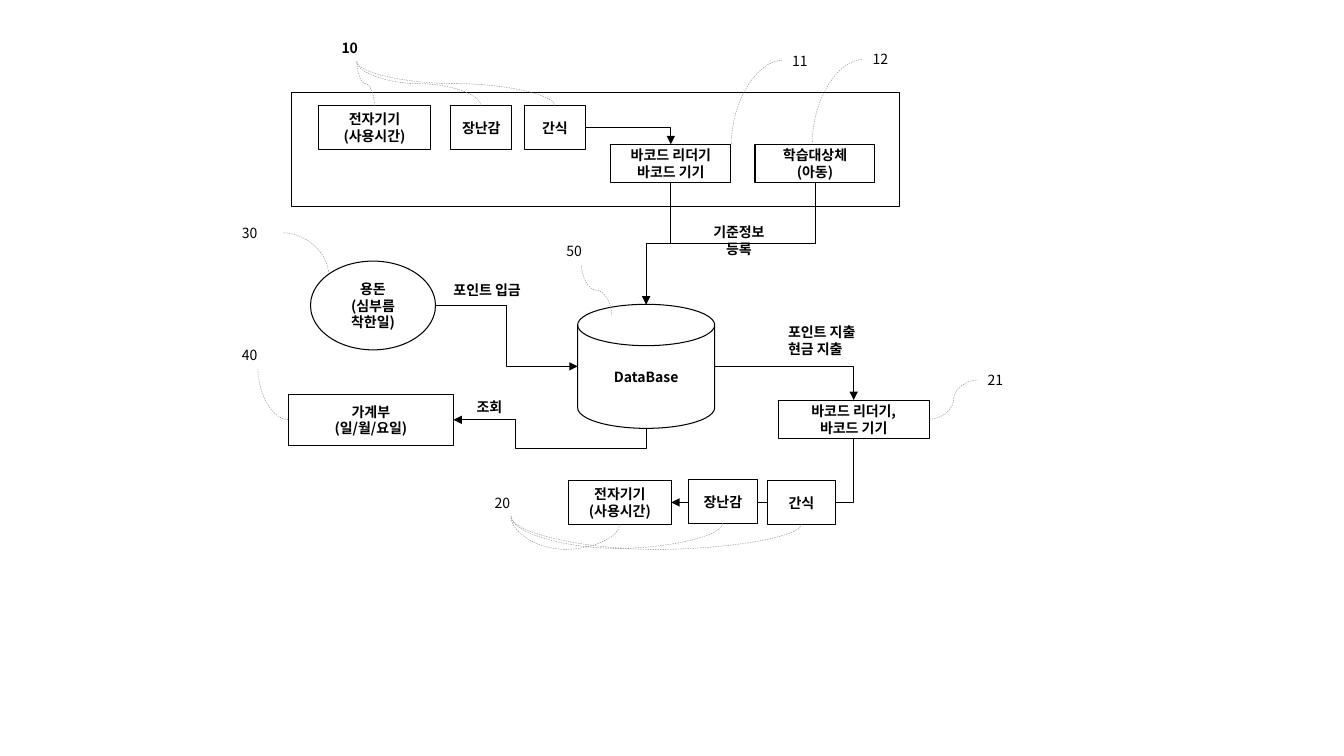
from lxml import etree
from pptx import Presentation
from pptx.dml.color import RGBColor
from pptx.enum.dml import MSO_LINE
from pptx.enum.shapes import MSO_CONNECTOR, MSO_SHAPE
from pptx.enum.text import MSO_ANCHOR, MSO_AUTO_SIZE, PP_ALIGN
from pptx.oxml.ns import qn
from pptx.util import Pt

RECT, OVAL, DISK = MSO_SHAPE.RECTANGLE, MSO_SHAPE.OVAL, MSO_SHAPE.FLOWCHART_MAGNETIC_DISK
LEFT, CENTER = PP_ALIGN.LEFT, PP_ALIGN.CENTER
FONT, SIZE = "Noto Sans CJK KR", 10
BLACK, GREY, WHITE = "000000", "808080", "FFFFFF"

# key: (shape, left, top, width, height, fill, lines); "\v" breaks a line inside a paragraph
BOXES = {
    "frame": (RECT, 208.1, 66.2, 434.2, 81.4, None, []),
    "device in": (RECT, 227.5, 75.6, 79.9, 31, None, ["전자기기", "(사용시간)"]),
    "toy in": (RECT, 321.8, 75.6, 43.9, 31, None, ["장난감"]),
    "snack in": (RECT, 374.4, 75.6, 43.9, 31, None, ["간식"]),
    "reader in": (RECT, 436.3, 103, 85.7, 27.4, None, ["바코드 리더기", "바코드 기기"]),
    "learner": (RECT, 539.3, 103, 85.7, 27.4, None, ["학습대상체", "(아동)"]),
    "allowance": (OVAL, 221.8, 186.5, 89.3, 63.4, None, ["용돈", "(심부름", "착한일)"]),
    "database": (DISK, 412.6, 217.4, 97.9, 88.6, None, ["DataBase"]),
    "ledger": (RECT, 205.9, 281.5, 118.1, 36.7, None, ["가계부\v(일/월/요일)"]),
    "reader out": (RECT, 555.8, 285.8, 108, 27.4, None, ["바코드 리더기,", "바코드 기기"]),
    "device out": (RECT, 406.1, 343.4, 73.4, 31, WHITE, ["전자기기", "(사용시간)"]),
    "toy out": (RECT, 491.8, 342.7, 49, 31, WHITE, ["장난감"]),
    "snack out": (RECT, 547.9, 343.4, 49, 31, WHITE, ["간식"]),
}

# (left, top, width, height, bold, alignment, lines)
LABELS = [
    (236.9, 24.5, 36, 19.4, True, LEFT, ["10"]),
    (558.7, 33.8, 36.7, 19.4, False, LEFT, ["11"]),
    (616.3, 32.4, 36.7, 19.4, False, LEFT, ["12"]),
    (346.3, 349.9, 36.7, 19.4, False, LEFT, ["20"]),
    (698.4, 262.1, 36.7, 19.4, False, LEFT, ["21"]),
    (165.6, 157, 36.7, 19.4, False, LEFT, ["30"]),
    (165.6, 244.1, 36.7, 19.4, False, LEFT, ["40"]),
    (397.4, 169.9, 36.7, 19.4, False, LEFT, ["50"]),
    (316.8, 197.3, 94.3, 19.4, True, LEFT, ["포인트 입금"]),
    (555.8, 227.5, 94.3, 31.7, True, LEFT, ["포인트 지출", "현금 지출"]),
    (491.8, 156.2, 72, 43.9, True, CENTER, ["기준정보", "등록"]),
    (333.4, 280.8, 48.2, 19.4, True, LEFT, ["조회"]),
]

# (start, end, first direction, connector type, distance it dips behind the start)
FLOWS = [
    (("reader out", "bottom"), ("device out", "right"), "down", 2, 0),
    (("snack in", "right"), ("reader in", "top"), "across", 2, 0),
    (("reader in", "bottom"), ("database", "top"), "down", 3, 0),
    (("learner", "bottom"), ("database", "top"), "down", 3, 0),
    (("allowance", "right"), ("database", "left"), "across", 3, 0),
    (("database", "right"), ("reader out", "top"), "across", 2, 0),
    (("database", "bottom"), ("ledger", "right"), "down", 4, 14),
]
INPUTS_END, OUTPUTS_END = (254.9, 43.9), (365, 368.6)
LEADERS = [((f"{item} in", "top"), INPUTS_END, "down", 3, 0) for item in ("device", "toy", "snack")]
LEADERS += [((f"{item} out", "bottom"), OUTPUTS_END, "down", 3, 18)
            for item in ("device", "toy", "snack")]
LEADERS += [
    ((522.4, 103), (558.7, 43.2), "down", 2, 0),
    ((580.3, 101.5), (616.3, 42.5), "down", 2, 0),
    ((234.7, 195.8), (202.3, 166.3), "down", 2, 0),
    (("ledger", "left"), (184.3, 263.5), "across", 2, 0),
    (("reader out", "right"), (698.4, 271.4), "across", 3, 0),
    ((415.4, 189.4), (437, 225.4), "down", 3, 0),
]
SIDES = {"top": (0.5, 0), "bottom": (0.5, 1), "left": (0, 0.5), "right": (1, 0.5)}


def color(value):
    return RGBColor.from_string(value)


def locate(end):
    """Turn a (box, side) pair into a point; leave a point as it is."""
    if end[0] not in BOXES:
        return end
    left, top, width, height = BOXES[end[0]][1:5]
    across, down = SIDES[end[1]]
    return left + across * width, top + down * height


def write(frame, lines, bold, alignment):
    for index, line in enumerate(lines):
        para = frame.paragraphs[0] if index == 0 else frame.add_paragraph()
        para.alignment = alignment
        for part, words in enumerate(line.split("\v")):
            if part:
                para.add_line_break()
            span = para.add_run()
            span.text = words
            span.font.name, span.font.size, span.font.bold = FONT, Pt(SIZE), bold
            span.font.color.rgb = color(BLACK)
            etree.SubElement(span.font._element, qn("a:ea"), typeface=FONT)


def add_box(slide, kind, left, top, width, height, fill, lines):
    box = slide.shapes.add_shape(kind, Pt(left), Pt(top), Pt(width), Pt(height))
    box.shadow.inherit = False
    if fill:
        box.fill.solid()
        box.fill.fore_color.rgb = color(fill)
    else:
        box.fill.background()
    box.line.color.rgb = color(BLACK)
    box.line.width = Pt(0.75)
    box.text_frame.vertical_anchor = MSO_ANCHOR.MIDDLE
    write(box.text_frame, lines, True, CENTER)


def add_label(slide, left, top, width, height, bold, alignment, lines):
    box = slide.shapes.add_textbox(Pt(left), Pt(top), Pt(width), Pt(height))
    box.text_frame.word_wrap = alignment == CENTER
    box.text_frame.auto_size = MSO_AUTO_SIZE.SHAPE_TO_FIT_TEXT
    write(box.text_frame, lines, bold, alignment)


def add_route(slide, kind, start, end, direction, number, dip):
    """Draw a connector; one that starts downwards is laid flat and turned by 90 degrees."""
    (x1, y1), (x2, y2) = locate(start), locate(end)
    rise = abs(y2 - y1)
    if direction == "down":
        mid_x, mid_y = (x1 + x2) / 2, (y1 + y2) / 2
        half_x, half_y = (y1 - y2) / 2, (x2 - x1) / 2
        x1, y1, x2, y2 = mid_x + half_x, mid_y + half_y, mid_x - half_x, mid_y - half_y
    route = slide.shapes.add_connector(kind, Pt(x1), Pt(y1), Pt(x2), Pt(y2))
    properties = route.element.spPr
    if direction == "down":
        properties.find(qn("a:xfrm")).set("rot", "5400000")
    geometry = properties.find(qn("a:prstGeom"))
    geometry.set("prst", geometry.get("prst")[:-1] + str(number))
    if dip:
        guides = geometry.find(qn("a:avLst"))
        if guides is None:
            guides = etree.SubElement(geometry, qn("a:avLst"))
        values = {"adj1": -dip / rise}
        if number == 4:
            values["adj2"] = 0.68
        for name, value in values.items():
            etree.SubElement(guides, qn("a:gd"), name=name, fmla=f"val {round(value * 100000)}")
    curved = kind == MSO_CONNECTOR.CURVE
    route.line.color.rgb = color(GREY if curved else BLACK)
    route.line.width = Pt(0.25 if curved else 0.5)
    if curved:
        route.line.dash_style = MSO_LINE.DASH
    else:
        etree.SubElement(properties.find(qn("a:ln")), qn("a:tailEnd"), type="triangle")
    etree.SubElement(properties, qn("a:effectLst"))


def main():
    deck = Presentation()
    deck.slide_width, deck.slide_height = Pt(960), Pt(540)
    slide = deck.slides.add_slide(deck.slide_layouts[6])
    for flow in FLOWS:
        add_route(slide, MSO_CONNECTOR.ELBOW, *flow)
    for box in BOXES.values():
        add_box(slide, *box)
    for leader in LEADERS:
        add_route(slide, MSO_CONNECTOR.CURVE, *leader)
    for label in LABELS:
        add_label(slide, *label)
    deck.save("out.pptx")


if __name__ == "__main__":
    main()
